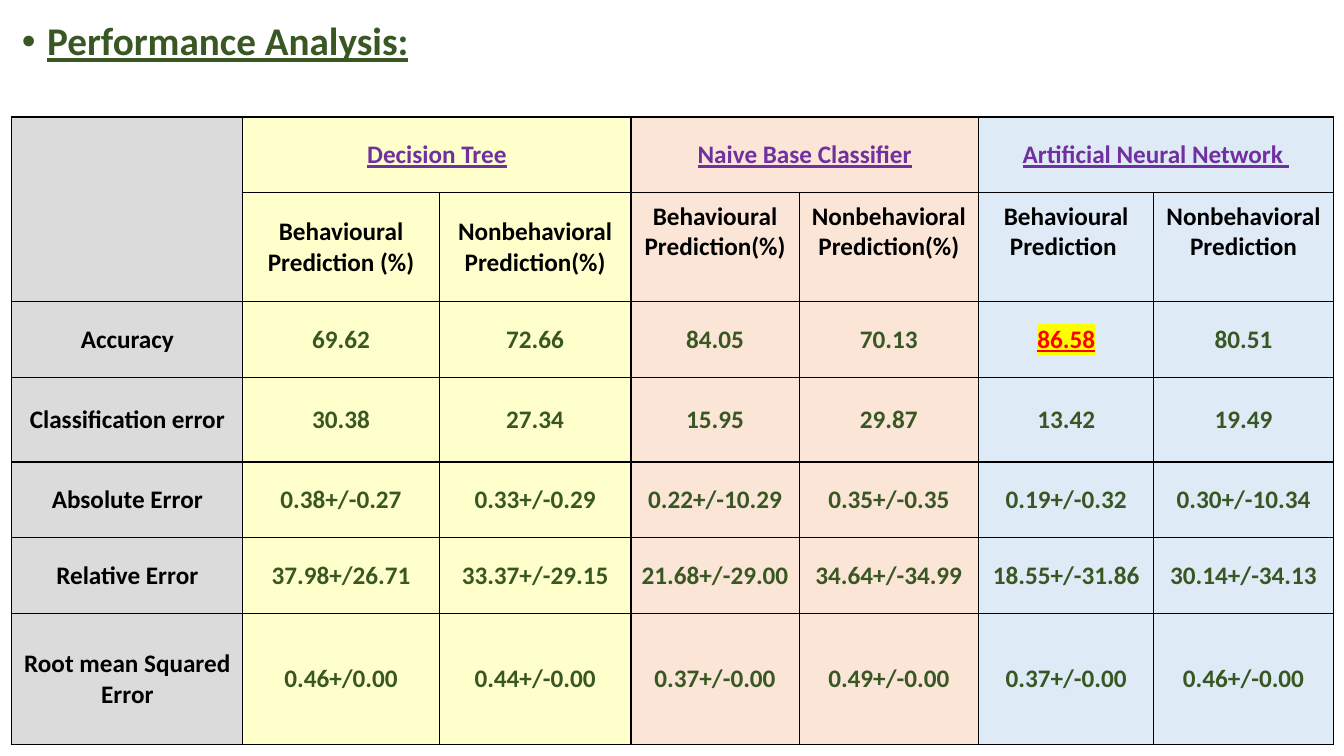
from dataclasses import dataclass

from lxml.etree import SubElement
from pptx import Presentation
from pptx.dml.color import RGBColor as Rgb
from pptx.enum.text import MSO_ANCHOR as Anchor, PP_ALIGN as Align
from pptx.oxml.ns import qn
from pptx.util import Cm, Pt


@dataclass(frozen=True)
class Theme:
    font: str = "Calibri"
    title_size: int = 28
    table_size: int = 18
    green: str = "385723"
    purple: str = "7030A0"
    black: str = "000000"
    red: str = "FF0000"
    marker: str = "FFFF00"
    label_fill: str = "DBDBDB"
    model_fills: tuple = ("FFFFCC", "FBE5D6", "DEEBF7")


THEME = Theme()

COLUMN_WIDTHS = (5.82, 4.95, 4.83, 4.24, 4.52, 4.42, 4.52)
ROW_HEIGHTS = (1.91, 2.74, 1.91, 2.13, 1.91, 1.91, 3.3)
MODELS = ("Decision Tree", "Naive Base Classifier", "Artificial Neural Network ")
PREDICTIONS = (
    "Behavioural Prediction (%)", "Nonbehavioral Prediction(%)",
    "Behavioural Prediction(%)", "Nonbehavioral Prediction(%)",
    "Behavioural Prediction ", "Nonbehavioral Prediction",
)
METRICS = (
    ("Accuracy", "69.62", "72.66", "84.05", "70.13", "86.58", "80.51"),
    ("Classification error", "30.38", "27.34", "15.95", "29.87", "13.42", "19.49"),
    ("Absolute Error", "0.38+/-0.27", "0.33+/-0.29", "0.22+/-10.29",
     "0.35+/-0.35", "0.19+/-0.32", "0.30+/-10.34"),
    ("Relative Error", "37.98+/26.71", "33.37+/-29.15", "21.68+/-29.00",
     "34.64+/-34.99", "18.55+/-31.86", "30.14+/-34.13"),
    ("Root mean Squared Error", "0.46+/0.00", "0.44+/-0.00", "0.37+/-0.00",
     "0.49+/-0.00", "0.37+/-0.00", "0.46+/-0.00"),
)
BEST_ACCURACY = "86.58"


def write(paragraph, text, color=THEME.black, size=THEME.table_size,
          underline=False, highlight=None, align=Align.CENTER):
    paragraph.alignment = align
    run = paragraph.add_run()
    run.text = text
    run.font.size = Pt(size)
    run.font.bold = True
    run.font.underline = underline
    run.font.color.rgb = Rgb.from_string(color)
    if highlight:
        marker = SubElement(run.font._element, qn("a:highlight"))
        SubElement(marker, qn("a:srgbClr"), val=highlight)
    run.font.name = THEME.font


def add_bullet(paragraph):
    properties = paragraph._p.get_or_add_pPr()
    properties.set("marL", str(Cm(0.64)))
    properties.set("indent", str(-Cm(0.64)))
    SubElement(properties, qn("a:buFont"), typeface="Arial")
    SubElement(properties, qn("a:buChar"), char="•")


def add_title(slide, text):
    frame = slide.shapes.add_textbox(Cm(0.3), Cm(0.43), Cm(29.21), Cm(1.5)).text_frame
    frame.word_wrap = True
    heading = frame.paragraphs[0]
    heading.line_spacing = 0.9
    write(heading, text, color=THEME.green, size=THEME.title_size,
          underline=True, align=Align.LEFT)
    add_bullet(heading)


def style_cell(cell, fill):
    properties = cell._tc.get_or_add_tcPr()
    for side in ("lnL", "lnR", "lnT", "lnB"):
        border = SubElement(properties, qn(f"a:{side}"), w=str(Pt(1)))
        SubElement(SubElement(border, qn("a:solidFill")), qn("a:srgbClr"), val=THEME.black)
    cell.fill.solid()
    cell.fill.fore_color.rgb = Rgb.from_string(fill)
    cell.vertical_anchor = Anchor.MIDDLE
    cell.margin_left = cell.margin_right = Cm(0.19)
    cell.margin_top = cell.margin_bottom = Cm(0)


def add_grid(slide):
    table = slide.shapes.add_table(
        len(ROW_HEIGHTS), len(COLUMN_WIDTHS), Cm(0.3), Cm(2.95),
        Cm(sum(COLUMN_WIDTHS)), Cm(sum(ROW_HEIGHTS))).table
    table.first_row = table.horz_banding = False
    for column, width in zip(table.columns, COLUMN_WIDTHS):
        column.width = Cm(width)
    for row, height in zip(table.rows, ROW_HEIGHTS):
        row.height = Cm(height)
        for position, cell in enumerate(row.cells):
            style_cell(cell, THEME.model_fills[(position - 1) // 2]
                       if position else THEME.label_fill)
    return table


def fill_headers(table):
    table.cell(0, 0).merge(table.cell(1, 0))
    for index, model in enumerate(MODELS):
        first = 1 + 2 * index
        header = table.cell(0, first)
        header.merge(table.cell(0, first + 1))
        write(header.text_frame.paragraphs[0], model, color=THEME.purple, underline=True)
    for column, prediction in enumerate(PREDICTIONS, start=1):
        subheader = table.cell(1, column)
        write(subheader.text_frame.paragraphs[0], prediction)
        if column > 2:
            subheader.margin_bottom = Cm(0.78)


def fill_metrics(table):
    for row, metric in enumerate(METRICS, start=2):
        for column, text in enumerate(metric):
            paragraph = table.cell(row, column).text_frame.paragraphs[0]
            if text == BEST_ACCURACY:
                write(paragraph, text, color=THEME.red, underline=True,
                      highlight=THEME.marker)
            else:
                write(paragraph, text, color=THEME.green if column else THEME.black)


def main():
    deck = Presentation()
    deck.slide_width, deck.slide_height = Cm(33.87), Cm(19.05)
    slide = deck.slides.add_slide(deck.slide_layouts[6])
    add_title(slide, "Performance Analysis:")
    table = add_grid(slide)
    fill_headers(table)
    fill_metrics(table)
    deck.save("out.pptx")


if __name__ == "__main__":
    main()
